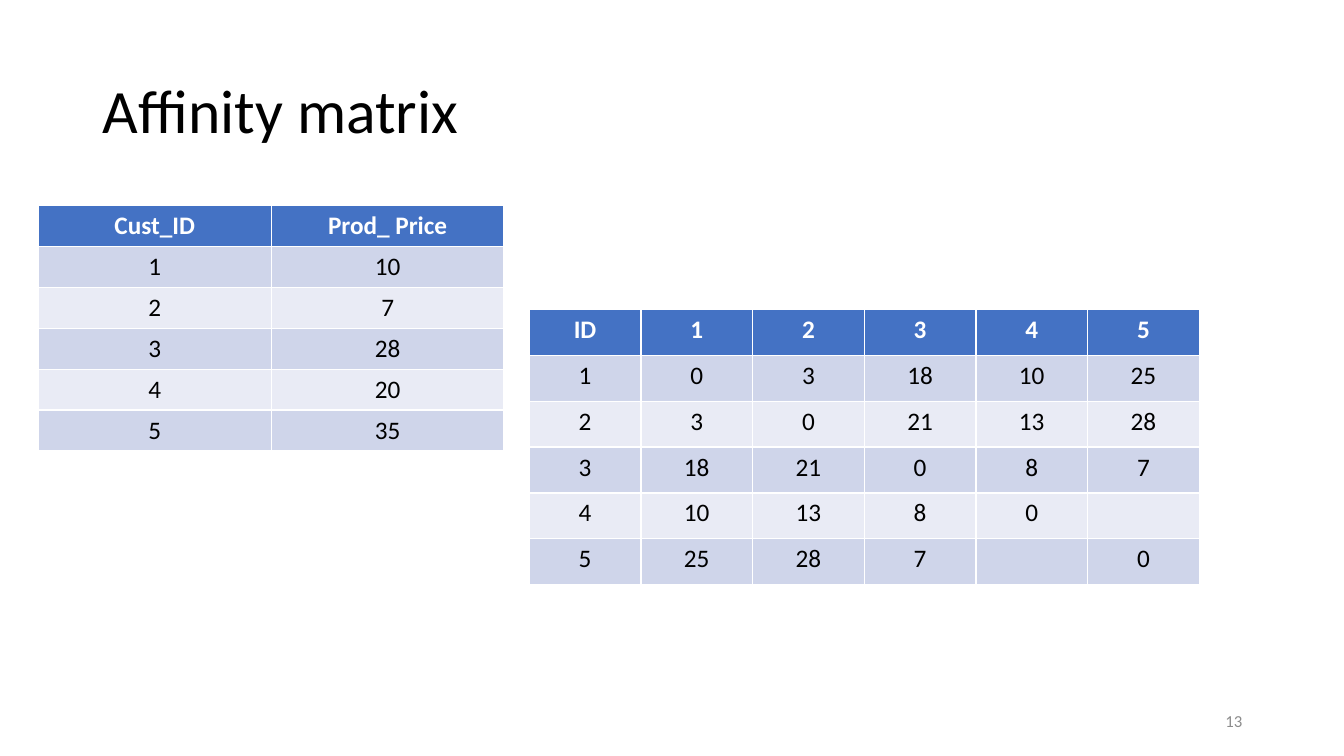
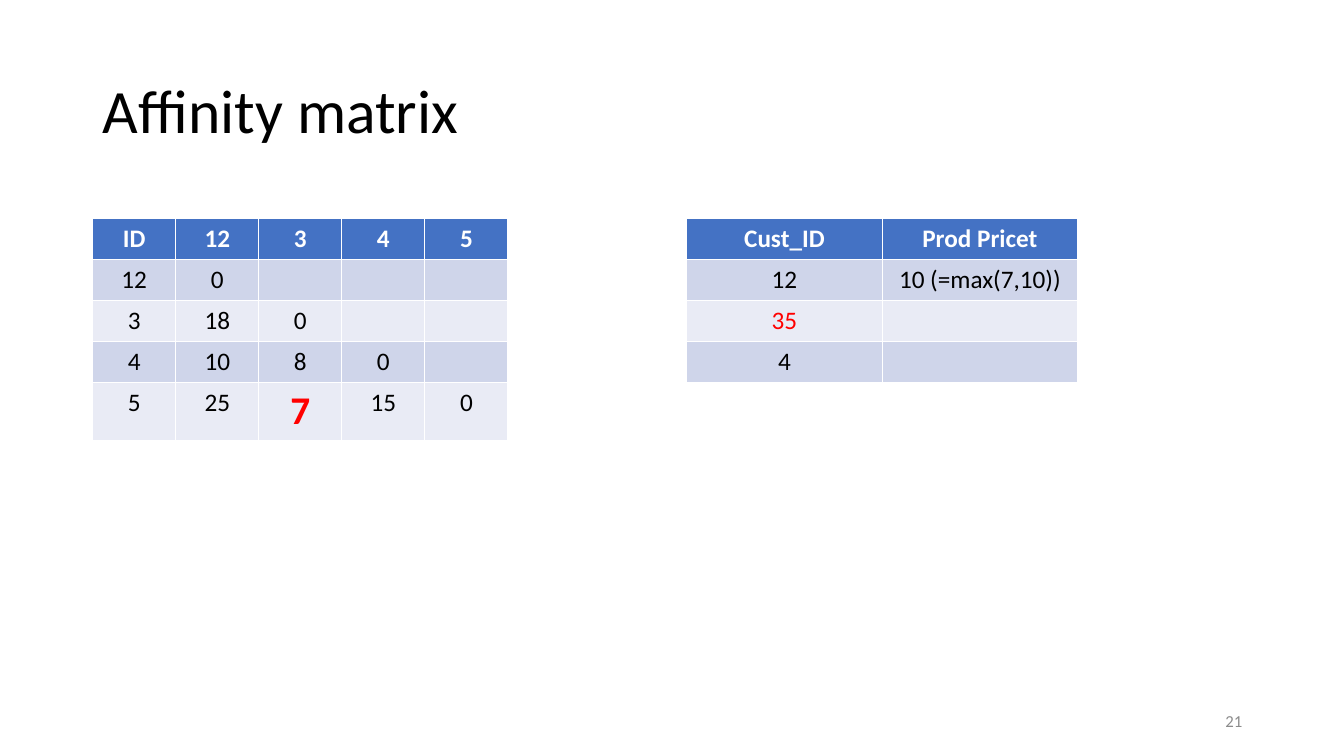
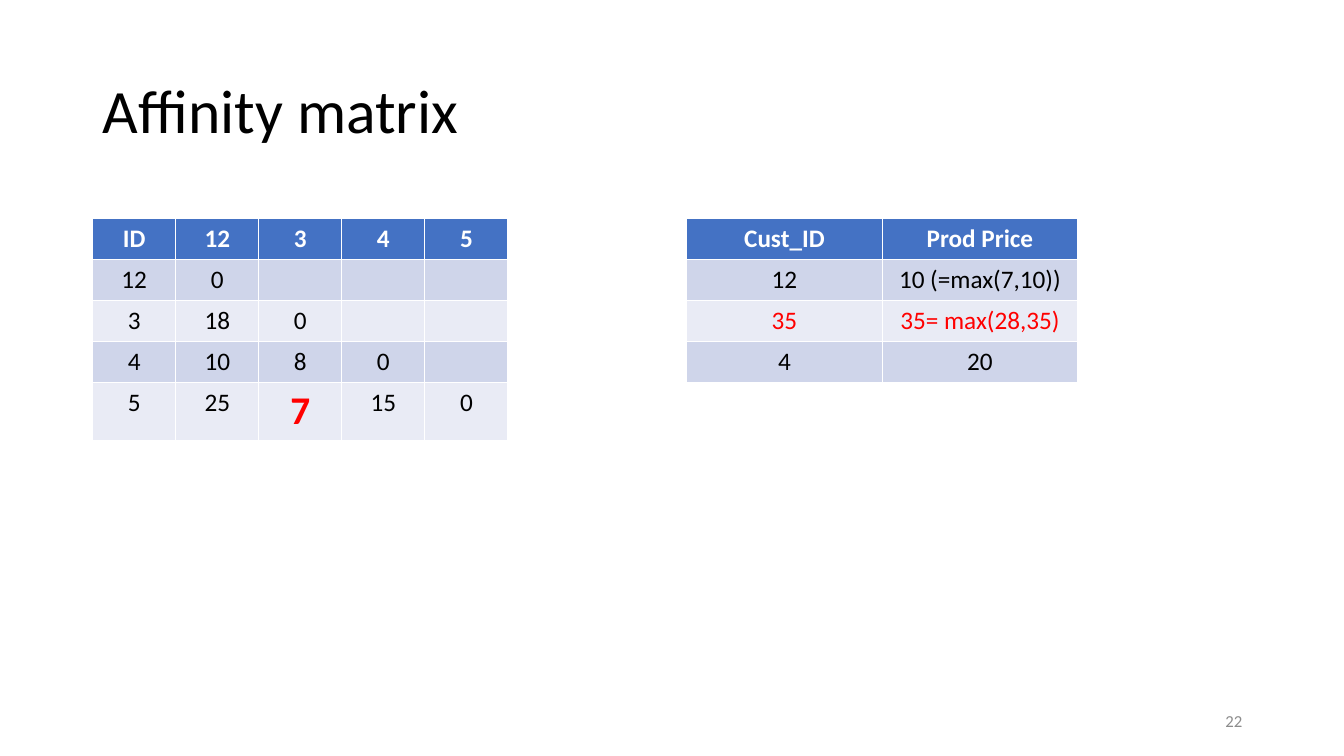
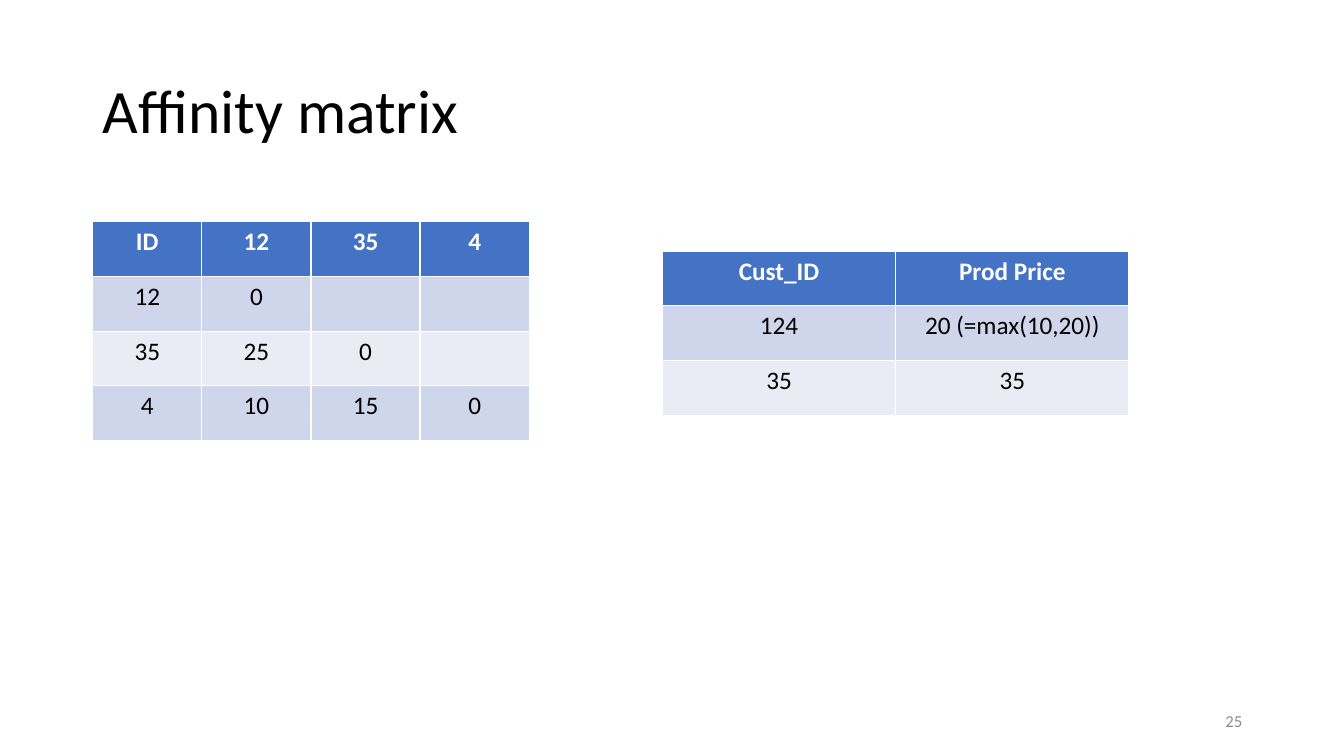
from pptx import Presentation
from pptx.dml.color import RGBColor as RGB
from pptx.enum.text import MSO_ANCHOR as Anchor, PP_ALIGN as Align
from pptx.util import Inches, Pt

FONT = "Calibri"
WHITE = RGB(0xFF, 0xFF, 0xFF)
BLACK = RGB(0x00, 0x00, 0x00)
GREY = RGB(0x8C, 0x8C, 0x8C)
RED = RGB(0xFF, 0x00, 0x00)
BLUE = RGB(0x44, 0x72, 0xC4)
BANDS = [RGB(0xE9, 0xEB, 0xF5), RGB(0xCF, 0xD5, 0xEA)]

deck = Presentation()
deck.slide_width, deck.slide_height = Inches(13.33), Inches(7.5)

# The slide is a grid of 100 columns by 100 rows.
COL, ROW = deck.slide_width / 100, deck.slide_height / 100
LEFT = 6.9
LOW, MID, HIGH = 5.4, 6.07, 7.24  # row heights
BIG = 28


def style(para, size, color, align, bold=False):
    font = para.font
    font.name, font.size, font.bold = FONT, Pt(size), bold
    font.color.rgb = color
    para.alignment = align


def grid(slide, left, top, wide, high, rows, reds):
    """Add a banded table; reds maps (row, column) to the size of red text."""
    count = len(rows[0])
    table = slide.shapes.add_table(
        len(rows), count, int(left * COL), int(top * ROW),
        int(wide * count * COL), int(high * len(rows) * ROW)).table
    for r, row in enumerate(rows):
        for c, text in enumerate(row):
            cell = table.cell(r, c)
            cell.text = text
            cell.fill.solid()
            cell.fill.fore_color.rgb = BANDS[r % 2] if r else BLUE
            size = reds.get((r, c), 18)
            color = RED if (r, c) in reds else BLACK if r else WHITE
            style(cell.text_frame.paragraphs[0], size, color, Align.CENTER,
                  bold=r == 0 or size == BIG)


# Each table: left, top, column width, row height, rows, red cells
full = [
    ["ID", "1", "2", "3", "4", "5"],
    ["1", "0", "3", "18", "10", "25"],
    ["2", "3", "0", "21", "13", "28"],
    ["3", "18", "21", "0", "8", "7"],
    ["4", "10", "13", "8", "0", ""],
    ["5", "25", "28", "7", "", "0"],
]
price = [
    ["Cust_ID", "Prod_ Price"],
    ["1", "10"],
    ["2", "7"],
    ["3", "28"],
    ["4", "20"],
    ["5", "35"],
]
half = (LEFT, 28.93, 6.18, LOW, [
    ["ID", "12", "3", "4", "5"],
    ["12", "0", "", "", ""],
    ["3", "18", "0", "", ""],
    ["4", "10", "8", "0", ""],
    ["5", "25", "7", "15", "0"],
], {(4, 2): BIG})
merge = (51.09, 28.93, 14.55, LOW)
begun = [
    ["Cust_ID", "Prod Pricet"],
    ["12", "10 (=max(7,10))"],
    ["35", ""],
    ["4", ""],
]
done = [
    ["Cust_ID", "Prod Price"],
    ["12", "10 (=max(7,10))"],
    ["35", "35= max(28,35)"],
    ["4", "20"],
]
small = [
    ["ID", "12", "35", "4"],
    ["12", "0", "", ""],
    ["35", "25", "0", ""],
    ["4", "10", "15", "0"],
]
last = [
    ["Cust_ID", "Prod Price"],
    ["124", "20 (=max(10,20))"],
    ["35", "35"],
]

pages = {
    "13": [(39.38, 40.93, 8.31, MID, full, {}),
           (2.85, 27.2, 17.33, LOW, price, {})],
    "21": [half, (*merge, begun, {(2, 0): 18})],
    "22": [half, (*merge, done, {(2, 0): 18, (2, 1): 18})],
    "25": [(LEFT, 29.33, 8.12, HIGH, small, {}),
           (49.29, 33.2, 17.36, HIGH, last, {})],
}

for number, tables in pages.items():
    slide = deck.slides.add_slide(deck.slide_layouts[5])
    title = slide.shapes.title
    title.left, title.top = int(LEFT * COL), int(5.33 * ROW)
    title.width, title.height = int(86.27 * COL), int(19.33 * ROW)
    title.text = "Affinity matrix"
    title.text_frame.vertical_anchor = Anchor.MIDDLE
    head = title.text_frame.paragraphs[0]
    head.line_spacing = 0.9
    style(head, 44, BLACK, Align.LEFT)

    for table in tables:
        grid(slide, *table)

    foot = slide.shapes.add_textbox(
        int(70.67 * COL), int(92.67 * ROW), int(22.5 * COL), int(5.33 * ROW))
    frame = foot.text_frame
    frame.word_wrap = True
    frame.vertical_anchor = Anchor.MIDDLE
    frame.text = number
    style(frame.paragraphs[0], 12, GREY, Align.RIGHT)

deck.save("out.pptx")
